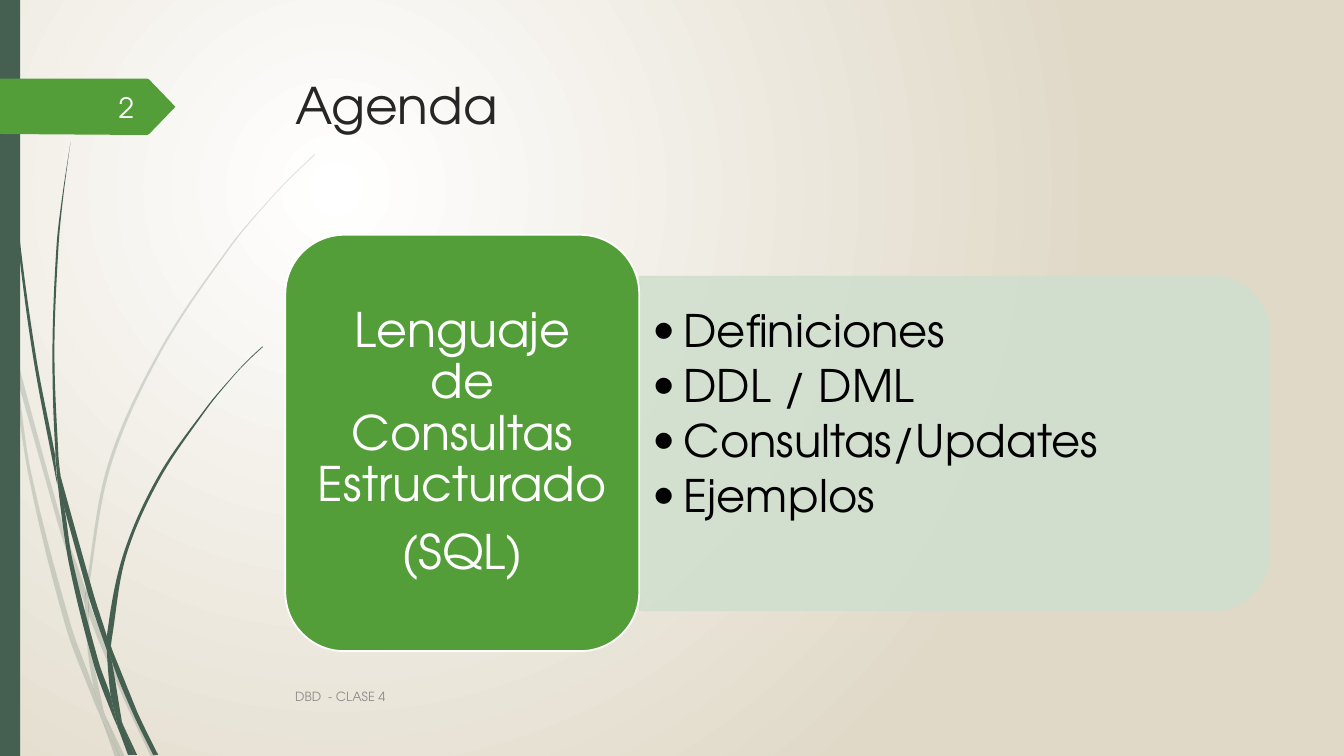
from math import dist

from lxml import etree
from pptx import Presentation
from pptx.dml.color import RGBColor
from pptx.enum.shapes import MSO_SHAPE
from pptx.enum.text import MSO_ANCHOR, PP_ALIGN
from pptx.oxml.ns import qn
from pptx.util import Inches, Pt

RECT, ROUNDED = MSO_SHAPE.RECTANGLE, MSO_SHAPE.ROUNDED_RECTANGLE
ROUND_TOP = MSO_SHAPE.ROUND_2_SAME_RECTANGLE
TOP, MIDDLE = MSO_ANCHOR.TOP, MSO_ANCHOR.MIDDLE
LEFT, CENTER, RIGHT = PP_ALIGN.LEFT, PP_ALIGN.CENTER, PP_ALIGN.RIGHT

FONT = "TeX Gyre Adventor"
WHITE = RGBColor(0xFF, 0xFF, 0xFF)
SAND = RGBColor(0xE0, 0xD9, 0xC8)
PINE = RGBColor(0x45, 0x5F, 0x51)
GREEN = RGBColor(0x54, 0x9E, 0x39)
MINT = RGBColor(0xD1, 0xDF, 0xCE)
INK = RGBColor(0x26, 0x26, 0x26)
BLACK = RGBColor(0, 0, 0)
GRAY = RGBColor(0x8C, 0x8C, 0x8C)
NEAR_WHITE = RGBColor(0xFE, 0xFF, 0xFF)

# Grass segments: the knots of each closed outline, in inches.
PALE_GRASS = [
    [(.11, 3.5), (.09, 3.22), (0, 2.82), (0, 2.99), (.1, 3.44)],
    [(.58, 5.22), (.84, 5.99), (.85, 5.86), (.62, 5.2), (.14, 3.45), (.17, 3.76)],
    [(.92, 6.07), (.88, 5.96), (.88, 6.1), (1.23, 6.94), (1.5, 7.51), (1.55, 7.51), (1.27, 6.92)],
    [(1.19, 7.51), (1.24, 7.51), (1.05, 7.11)],
    [(.93, 6.83), (.7, 6.19), (.31, 4.69), (.17, 3.76), (.11, 3.5), (.28, 4.7), (.65, 6.21),
     (.92, 6.93), (1.01, 7.14), (.99, 7.07)],
    [(.84, 5.99), (.87, 6.46), (.93, 6.83), (.96, 6.92), (1.05, 7.11), (1.03, 7.06), (.91, 6.46),
     (.88, 6.1), (.88, 6.08)],
    [(.88, 5.84), (1.1, 4.62), (1.6, 3.49), (2.29, 2.45), (2.68, 1.98), (2.9, 1.75), (3.12, 1.54),
     (3.12, 1.53), (2.89, 1.75), (2.68, 1.97), (2.28, 2.44), (1.58, 3.48), (1.07, 4.61),
     (.85, 5.84), (.85, 5.86), (.88, 5.96)],
    [(1.01, 7.14), (1.14, 7.51), (1.19, 7.51)],
    [(.88, 6.08), (.88, 6.1), (.88, 5.96), (.85, 5.86), (.84, 5.99)],
    [(.96, 6.92), (.93, 6.83), (.99, 7.07), (1.01, 7.14), (1.19, 7.51), (1.05, 7.11)],
]
DARK_GRASS = [
    [(.07, 1.1), (.17, 2.33), (.33, 3.55), (.56, 4.77), (.57, 4.81), (.55, 4.57), (.55, 4.53),
     (.36, 3.55), (.19, 2.32), (.08, 1.09), (.05, .48), (.04, 0), (.03, 0), (.04, .48)],
    [(.88, 5.92), (1.06, 6.45), (1.06, 6.33), (1.06, 6.31), (.93, 5.9), (.6, 4.72), (.64, 5.05)],
    [(1.13, 6.49), (1.1, 6.41), (1.11, 6.56), (1.32, 7.08), (1.52, 7.49), (1.57, 7.49),
     (1.36, 7.06)],
    [(1.1, 6.91), (.98, 6.57), (.72, 5.56), (.64, 5.05), (.57, 4.77), (.68, 5.57), (.93, 6.59),
     (1.11, 7.08), (1.17, 7.22), (1.16, 7.17)],
    [(.6, 4.72), (.58, 4.53), (.54, 3.49), (.58, 2.45), (.63, 1.93), (.7, 1.41), (.62, 1.93),
     (.56, 2.45), (.52, 3.49), (.55, 4.49)],
    [(1.33, 7.49), (1.36, 7.49), (1.22, 7.19)],
    [(.57, 4.77), (.64, 5.05), (.6, 4.72), (.55, 4.49), (.55, 4.53)],
    [(1.11, 6.33), (1.25, 5.52), (1.58, 4.76), (2.05, 4.06), (2.31, 3.74), (2.45, 3.59),
     (2.61, 3.44), (2.6, 3.44), (2.45, 3.58), (2.31, 3.73), (2.04, 4.05), (1.56, 4.74),
     (1.22, 5.51), (1.06, 6.31), (1.1, 6.41)],
    [(1.17, 7.22), (1.27, 7.49), (1.31, 7.49)],
    [(1.06, 6.45), (1.1, 6.91), (1.16, 7.06), (1.22, 7.19), (1.21, 7.16), (1.11, 6.56),
     (1.09, 6.51)],
    [(1.06, 6.45), (1.09, 6.51), (1.11, 6.56), (1.1, 6.41), (1.06, 6.31), (1.06, 6.33)],
    [(1.16, 7.06), (1.1, 6.91), (1.16, 7.17), (1.17, 7.22), (1.3, 7.49), (1.33, 7.49),
     (1.22, 7.19)],
]
NUMBER_TAG = [(1.74, 1.06), (1.48, 1.33), (1.46, 1.34), (0, 1.33), (0, .78), (1.46, .78),
              (1.48, .79)]


def direction(a, b):
    """Return the unit vector from a to b."""
    length = dist(a, b) or 1
    return (b[0] - a[0]) / length, (b[1] - a[1]) / length


def tangent(before, knot, after):
    """Return the curve's direction at a knot, or zero at a sharp corner."""
    u, v = direction(before, knot), direction(knot, after)
    is_smooth = u[0] * v[0] + u[1] * v[1] > 0.7
    return direction(before, after) if is_smooth else (0, 0)


def curve_edges(sp):
    """Turn the straight edges of a closed freeform into smooth curves."""
    path = sp._element.find(".//" + qn("a:path"))
    knots = [(int(pt.get("x")), int(pt.get("y"))) for pt in path.iter(qn("a:pt"))]
    n = len(knots)
    tangents = [tangent(knots[i - 1], knots[i], knots[(i + 1) % n]) for i in range(n)]
    for i, edge in enumerate(path.findall(qn("a:lnTo")), 1):
        a, b = knots[i - 1], knots[i]
        reach = dist(a, b) / 3
        out = [k + reach * t for k, t in zip(a, tangents[i - 1])]
        into = [k - reach * t for k, t in zip(b, tangents[i])]
        curve = etree.Element(qn("a:cubicBezTo"))
        for x, y in (out, into, b):
            etree.SubElement(curve, qn("a:pt"), x=str(round(x)), y=str(round(y)))
        path.replace(edge, curve)


class Deck:
    """Holds the style and the current slide."""

    def __init__(self, prs):
        """Add a blank slide."""
        self.s = prs.slides.add_slide(prs.slide_layouts[6])

    def background(self, inner, outer):
        """Fill the background with a circular gradient."""
        fill = self.s.background.fill
        fill.gradient()
        for stop, color, position in zip(fill.gradient_stops, (inner, outer), (0, 1)):
            stop.color.rgb = color
            stop.position = position
        grad = self.s._element.find(".//" + qn("a:gradFill"))
        grad.remove(grad.find(qn("a:lin")))
        circle = etree.SubElement(grad, qn("a:path"), path="circle")
        etree.SubElement(circle, qn("a:fillToRect"), l="50000", t="50000", r="100000", b="100000")

    def paint(self, sp, fill, line=None, alpha=None):
        """Set fill, line and transparency, without a shadow."""
        sp.shadow.inherit = False
        sp.fill.solid()
        sp.fill.fore_color.rgb = fill
        if line is None:
            sp.line.fill.background()
        else:
            sp.line.color.rgb = line
            sp.line.width = Pt(1.25)
        if alpha:
            for color in sp._element.spPr.iter(qn("a:srgbClr")):
                etree.SubElement(color, qn("a:alpha"), val=str(alpha * 1000))

    def shape(self, kind, box, fill, line=None, alpha=None):
        """Add a preset shape."""
        sp = self.s.shapes.add_shape(kind, *map(Inches, box))
        self.paint(sp, fill, line, alpha)
        return sp

    def outline(self, knots, fill, alpha=None):
        """Add a closed freeform through the knots."""
        points = [(Inches(x), Inches(y)) for x, y in knots]
        builder = self.s.shapes.build_freeform(*points[0])
        builder.add_line_segments(points[1:])
        sp = builder.convert_to_shape()
        self.paint(sp, fill, alpha=alpha)
        return sp

    def text(self, box, lines, size, color, align=LEFT, anchor=MIDDLE,
             inset=(0.1, 0.05), spacing=None, after=0, bullet_indent=None):
        """Add a text box with one paragraph per line."""
        tf = self.s.shapes.add_textbox(*map(Inches, box)).text_frame
        tf.word_wrap = True
        tf.vertical_anchor = anchor
        tf.margin_left = tf.margin_right = Inches(inset[0])
        tf.margin_top = tf.margin_bottom = Inches(inset[1])
        for i, line in enumerate(lines):
            p = tf.paragraphs[0] if i == 0 else tf.add_paragraph()
            p.text = line
            p.alignment = align
            p.line_spacing = spacing
            p.space_after = Pt(after)
            p.font.name, p.font.size, p.font.color.rgb = FONT, Pt(size), color
            if bullet_indent:
                self.bullet(p, Inches(bullet_indent))

    def bullet(self, p, indent):
        """Give a paragraph a hanging round bullet."""
        props = p._p.get_or_add_pPr()
        props.set("marL", str(indent))
        props.set("indent", str(-indent))
        style = props.find(qn("a:defRPr"))
        style.addprevious(etree.Element(qn("a:buFont"), typeface=FONT))
        style.addprevious(etree.Element(qn("a:buChar"), char="•"))


def main():
    """Build the agenda slide."""
    prs = Presentation()
    prs.slide_width, prs.slide_height = Inches(13.33), Inches(7.5)
    deck = Deck(prs)
    deck.background(WHITE, SAND)
    for grass, alpha in ((PALE_GRASS, 20), (DARK_GRASS, None)):
        for knots in grass:
            curve_edges(deck.outline(knots, PINE, alpha))
    deck.shape(RECT, (0, 0, 0.2, 7.5), PINE)
    deck.outline(NUMBER_TAG, GREEN)

    deck.text((2.83, 0.69, 9.75, 1.4), ["Agenda"], 36, INK, anchor=TOP)
    panel = deck.shape(ROUND_TOP, (7.81, 1.28, 3.31, 6.24), MINT, MINT, alpha=90)
    panel.rotation = 90
    deck.text((6.34, 2.91, 6.08, 2.43),
              ["Definiciones", "DDL / DML", "Consultas/Updates", "Ejemplos"], 32, BLACK,
              inset=(0.13, 0.07), spacing=0.9, after=4.8, bullet_indent=0.31)
    deck.shape(ROUNDED, (2.83, 2.33, 3.51, 4.13), GREEN, WHITE)
    deck.text((3, 2.5, 3.17, 3.79), ["Lenguaje de Consultas Estructurado", "(SQL)"], 34, WHITE,
              CENTER, inset=(0.14, 0.07), spacing=0.9, after=12)
    deck.text((2.83, 6.71, 8.33, 0.4), ["DBD  - CLASE 4"], 9, GRAY)
    deck.text((0.58, 0.86, 0.85, 0.4), ["2"], 20, NEAR_WHITE, RIGHT)
    prs.save("out.pptx")


main()
